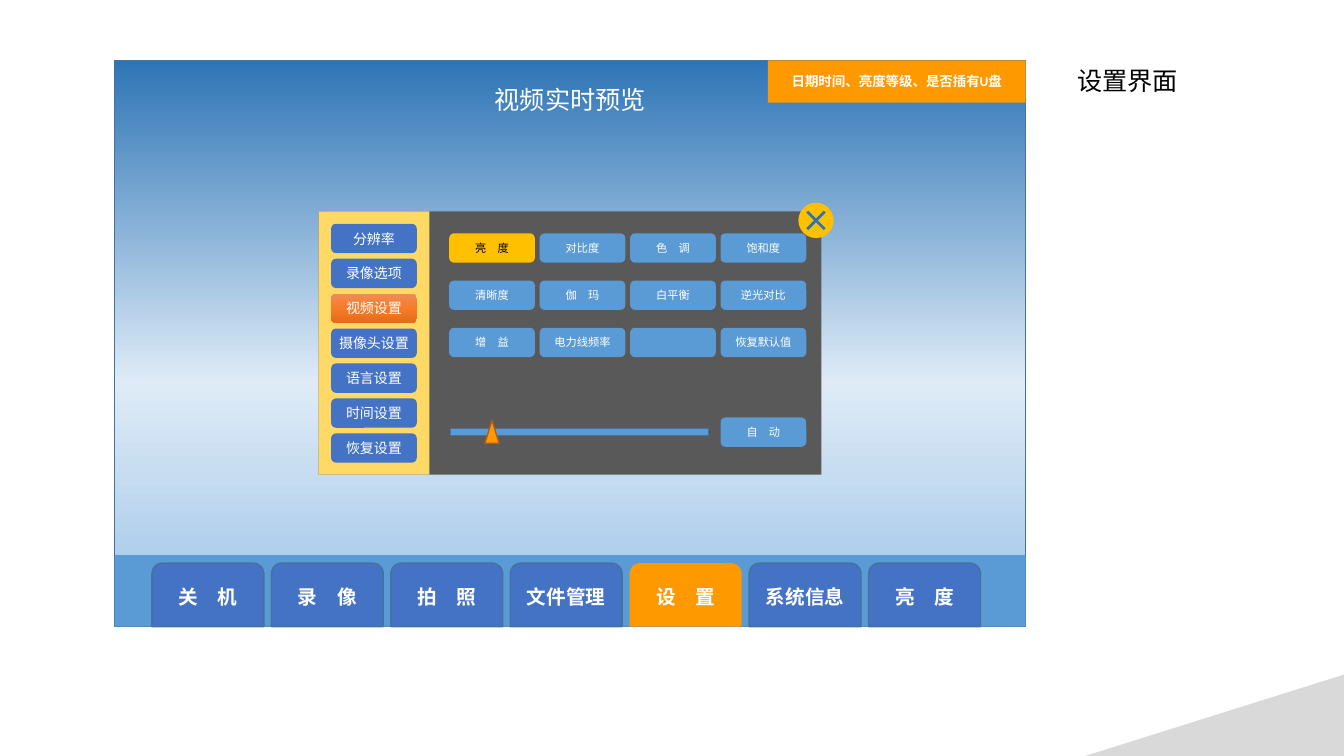
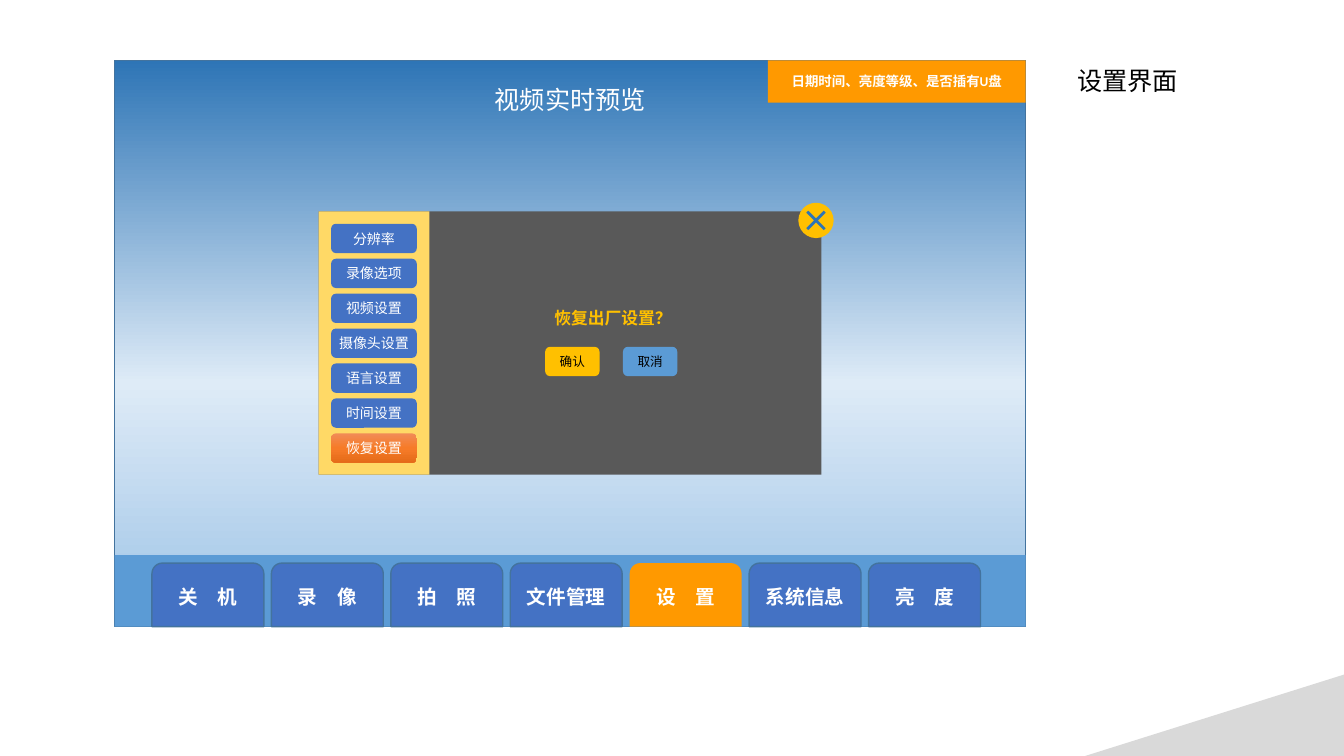
from lxml import etree
from pptx import Presentation
from pptx.dml.color import RGBColor
from pptx.enum import shapes as es, text as et
from pptx.oxml.ns import qn
from pptx.util import Cm, Pt

WHITE = RGBColor(0xFF, 0xFF, 0xFF)
BLACK = RGBColor(0, 0, 0)
GREY = RGBColor(0xD9, 0xD9, 0xD9)
DARK = RGBColor(0x59, 0x59, 0x59)
BLUE = RGBColor(0x44, 0x72, 0xC4)
SKY = RGBColor(0x5B, 0x9B, 0xD5)
DEEP = RGBColor(0x2E, 0x75, 0xB6)
EDGE = RGBColor(0x43, 0x73, 0x9E)
GOLD = RGBColor(0xFF, 0xC0, 0x00)
SAND = RGBColor(0xFF, 0xD9, 0x66)
AMBER = RGBColor(0xFF, 0x99, 0x00)
RUST = RGBColor(0xAF, 0x5C, 0x24)
DUSK = [(0, DEEP), (57, RGBColor(0xDE, 0xEB, 0xF7)),
        (100, RGBColor(0x9D, 0xC3, 0xE6))]
GLOW = [(0, RGBColor(0xF1, 0x8C, 0x57)), (50, RGBColor(0xF6, 0x7B, 0x28)),
        (100, RGBColor(0xE5, 0x6C, 0x19))]
FONT = "Calibri"
KIND = es.MSO_SHAPE

TABS = ["关　机", "录　像", "拍　照", "文件管理", "设　置", "系统信息", "亮　度"]
MENU = ["分辨率", "录像选项", "视频设置", "摄像头设置", "语言设置", "时间设置", "恢复设置"]
GRID = [["亮　度", "对比度", "色　调", "饱和度"],
        ["清晰度", "伽　玛", "白平衡", "逆光对比"],
        ["增　益", "电力线频率", "", "恢复默认值"]]

SCREEN = (2.89, 1.52, 22.96, 14.27)
PANEL = (8.03, 5.33, 12.67, 6.63)
KEY = (2.16, 0.74)


def blend(shape, stops):
    """Fill a shape from top to bottom with (percent, colour) stops."""
    shape.fill.gradient()
    shape.fill.gradient_angle = 270
    group = shape.element.spPr.find(".//" + qn("a:gsLst"))
    for old in list(group):
        group.remove(old)
    for place, color in stops:
        stop = etree.SubElement(group, qn("a:gs"), pos=str(place * 1000))
        etree.SubElement(stop, qn("a:srgbClr"), val=str(color))


def style(frame, words, size, color, bold):
    """Write one paragraph into a text frame."""
    para = frame.paragraphs[0]
    para.text = words
    para.font.name = FONT
    para.font.size = Pt(size)
    para.font.bold = bold
    para.font.color.rgb = color
    return para


def block(slide, kind, box, fill, line=None, words="", size=10,
          color=WHITE, bold=False):
    """Add a filled shape, with a centred label if it has words."""
    shape = slide.shapes.add_shape(kind, *map(Cm, box))
    shape.shadow.inherit = False
    if isinstance(fill, list):
        blend(shape, fill)
    else:
        shape.fill.solid()
        shape.fill.fore_color.rgb = fill
    if line is None:
        shape.line.fill.background()
    else:
        shape.line.color.rgb = line
        shape.line.width = Pt(1)
    if words:
        frame = shape.text_frame
        frame.margin_left = frame.margin_right = 0
        frame.margin_top = frame.margin_bottom = 0
        frame.vertical_anchor = et.MSO_ANCHOR.MIDDLE
        para = style(frame, words, size, color, bold)
        para.alignment = et.PP_ALIGN.CENTER
    return shape


def label(slide, box, words, size, color, bold=False):
    """Add a plain text box."""
    frame = slide.shapes.add_textbox(*map(Cm, box)).text_frame
    frame.word_wrap = True
    style(frame, words, size, color, bold)


def key(slide, x, y, words, fill, size=8, color=WHITE, width=KEY[0]):
    """Add a rounded button."""
    block(slide, KIND.ROUNDED_RECTANGLE, (x, y, width, KEY[1]), fill,
          words=words, size=size, color=color)


def tabs(slide, box, active):
    """Draw the bottom bar and its row of tabs."""
    x, y, w, h = box
    block(slide, KIND.RECTANGLE, box, SKY)
    for i, words in enumerate(TABS):
        on = words == active
        block(slide, KIND.ROUND_2_SAME_RECTANGLE,
              (x + 0.94 + 3.01 * i, y + 0.2, 2.82, h - 0.2),
              AMBER if on else BLUE, None if on else EDGE,
              words, 14, bold=True)


def screen(slide, box):
    """Draw the preview screen with title, status tag and tabs."""
    x, y, w, h = box
    block(slide, KIND.RECTANGLE, box, DUSK, EDGE)
    tabs(slide, (x, y + h - 1.8, w, 1.8), "设　置")
    block(slide, KIND.RECTANGLE, (x + w - 6.5, y, 6.5, 1.07), AMBER,
          words="日期时间、亮度等级、是否插有U盘", size=9.6, bold=True)
    label(slide, (x + 9.33, y + 0.49, 4.6, 1.02), "视频实时预览", 18, WHITE)


def menu(slide, box, active):
    """Draw the side menu of the settings panel."""
    x, y, w, h = box
    block(slide, KIND.RECTANGLE, box, SAND)
    for i, words in enumerate(MENU):
        key(slide, x + (w - KEY[0]) / 2, y + 0.31 + 0.88 * i, words,
            GLOW if words == active else BLUE, 10)


def close(slide, box):
    """Draw the round close button."""
    x, y, w, h = box
    block(slide, KIND.OVAL, box, GOLD)
    cross = block(slide, KIND.MATH_MULTIPLY,
                  (x + 0.02, y + 0.02, w - 0.04, h - 0.04), DEEP)
    cross.adjustments[0] = 0.08


def video(slide, box):
    """Draw the video options with slider and auto button."""
    x, y, w, h = box
    left, top, step = x + 3.29, y + 0.55, 2.28
    for r, row in enumerate(GRID):
        for c, words in enumerate(row):
            on = r == c == 0
            key(slide, left + step * c, top + 1.19 * r, words,
                GOLD if on else SKY, color=BLACK if on else WHITE)
    key(slide, left + step * 3, y + 5.19, "自　动", SKY)
    block(slide, KIND.RECTANGLE, (left + 0.03, y + 5.47, 6.5, 0.18),
          SKY, EDGE)
    block(slide, KIND.ISOSCELES_TRIANGLE,
          (left + 0.9, y + 5.26, 0.36, 0.58), AMBER, RUST)


def reset(slide, box):
    """Draw the question about factory settings."""
    x, y, w, h = box
    label(slide, (x + 5.69, y + 2.29, 3.4, 0.76), "恢复出厂设置？", 12,
          GOLD, True)
    for i, (words, fill) in enumerate([("确认", GOLD), ("取消", SKY)]):
        key(slide, x + 5.71 + 1.96 * i, y + 3.41, words, fill, 9, BLACK, 1.37)


def page(deck, active, body):
    """Build one settings slide around the given panel body."""
    slide = deck.slides.add_slide(deck.slide_layouts[6])
    wedge = block(slide, KIND.RIGHT_TRIANGLE, (27.35, 17, 6.52, 2.05), GREY)
    wedge.element.spPr.xfrm.set("flipH", "1")
    label(slide, (26.9, 1.52, 3.15, 1.02), "设置界面", 18, BLACK)
    screen(slide, SCREEN)
    x, y, w, h = PANEL
    block(slide, KIND.RECTANGLE, PANEL, DARK)
    menu(slide, (x, y, 2.79, h), active)
    body(slide, PANEL)
    close(slide, (x + w - 0.58, y - 0.22, 0.89, 0.89))


deck = Presentation()
deck.slide_width, deck.slide_height = Cm(33.87), Cm(19.05)
page(deck, "视频设置", video)
page(deck, "恢复设置", reset)
deck.save("out.pptx")
